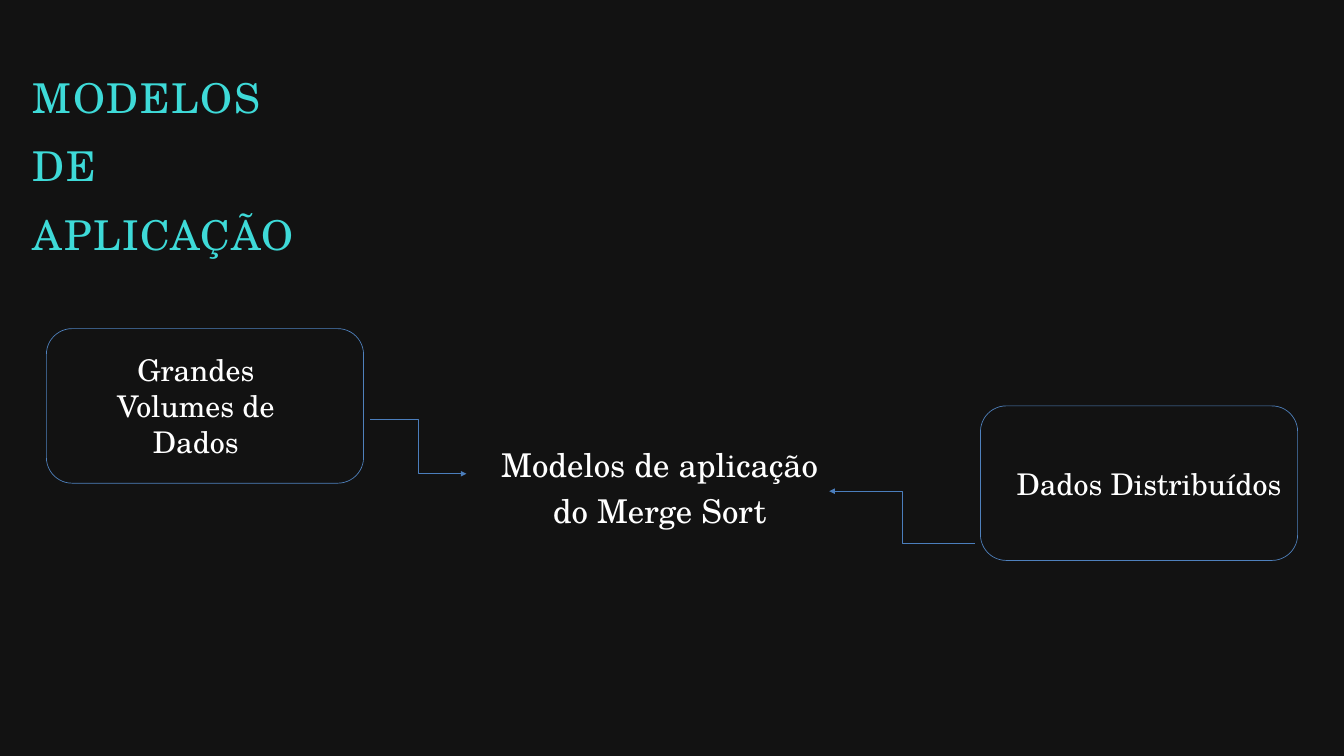
from lxml.etree import SubElement
from pptx import Presentation
from pptx.dml.color import RGBColor
from pptx.enum.shapes import MSO_CONNECTOR, MSO_SHAPE
from pptx.enum.text import MSO_AUTO_SIZE, PP_ALIGN
from pptx.oxml.ns import qn
from pptx.util import Inches, Pt

BACKGROUND = RGBColor(0x12, 0x12, 0x12)
TURQUOISE = RGBColor(0x3E, 0xDA, 0xD8)
WHITE = RGBColor(0xFF, 0xFF, 0xFF)
FRAME_BLUE = RGBColor(0x4F, 0x81, 0xBD)
ARROW_BLUE = RGBColor(0x4B, 0x7E, 0xBC)
FONT = "TeX Gyre Schola"
WIDTH, HEIGHT = Inches(20), Inches(11.25)

# Positions and sizes are percentages of the slide's width and height.
FRAME_SIZE = (23.6, 20.44)
FRAMES = [(72.95, 53.69), (3.45, 43.47)]
LABELS = [
    dict(text="Modelos de aplicação do Merge Sort", area=(37.1, 57.96, 23.95, 12),
         size=35.1, leading=49.1, inset=False),
    dict(text="Dados Distribuídos", area=(74.85, 61.16, 21.3, 5.69), size=32),
    dict(text="Grandes Volumes de Dados", area=(5.35, 46.13, 18.45, 15.29), size=32),
    dict(text="MODELOS DE APLICAÇÃO", area=(2.45, 7.11, 22, 17.69), size=44,
         leading=73.1, inset=False, color=TURQUOISE, align=PP_ALIGN.LEFT, tracking=170),
]
ARROWS = [(72.55, 71.91, 61.7, 64.98), (27.55, 55.47, 34.7, 62.67)]


def scaled(*shares):
    return [round(share * (HEIGHT if i % 2 else WIDTH) / 100)
            for i, share in enumerate(shares)]


def add_frame(slide, corner):
    frame = slide.shapes.add_shape(MSO_SHAPE.ROUNDED_RECTANGLE,
                                   *scaled(*corner, *FRAME_SIZE))
    frame.shadow.inherit = False
    frame.fill.background()
    frame.line.color.rgb = FRAME_BLUE
    frame.line.width = Pt(0.75)


def add_label(slide, text, area, size, leading=None, inset=True, color=WHITE,
              align=PP_ALIGN.CENTER, tracking=None):
    frame = slide.shapes.add_textbox(*scaled(*area)).text_frame
    frame.word_wrap = True
    frame.auto_size = MSO_AUTO_SIZE.SHAPE_TO_FIT_TEXT
    if not inset:
        frame.margin_left = frame.margin_right = 0
        frame.margin_top = frame.margin_bottom = 0
    paragraph = frame.paragraphs[0]
    paragraph.alignment = align
    if leading:
        paragraph.line_spacing = Pt(leading)
    run = paragraph.add_run()
    run.text = text
    run.font.name = FONT
    run.font.size = Pt(size)
    run.font.color.rgb = color
    if tracking:
        run.font._element.set("spc", str(tracking))


def add_arrow(slide, ends):
    arrow = slide.shapes.add_connector(MSO_CONNECTOR.ELBOW, *scaled(*ends))
    arrow.line.color.rgb = ARROW_BLUE
    arrow.line.width = Pt(0.75)
    SubElement(arrow.line._get_or_add_ln(), qn("a:tailEnd"), type="triangle")
    SubElement(arrow._element.spPr, qn("a:effectLst"))


def main():
    deck = Presentation()
    deck.slide_width, deck.slide_height = WIDTH, HEIGHT
    slide = deck.slides.add_slide(deck.slide_layouts[6])
    slide.background.fill.solid()
    slide.background.fill.fore_color.rgb = BACKGROUND
    for corner in FRAMES:
        add_frame(slide, corner)
    for label in LABELS:
        add_label(slide, **label)
    for ends in ARROWS:
        add_arrow(slide, ends)
    deck.save("out.pptx")


if __name__ == "__main__":
    main()
